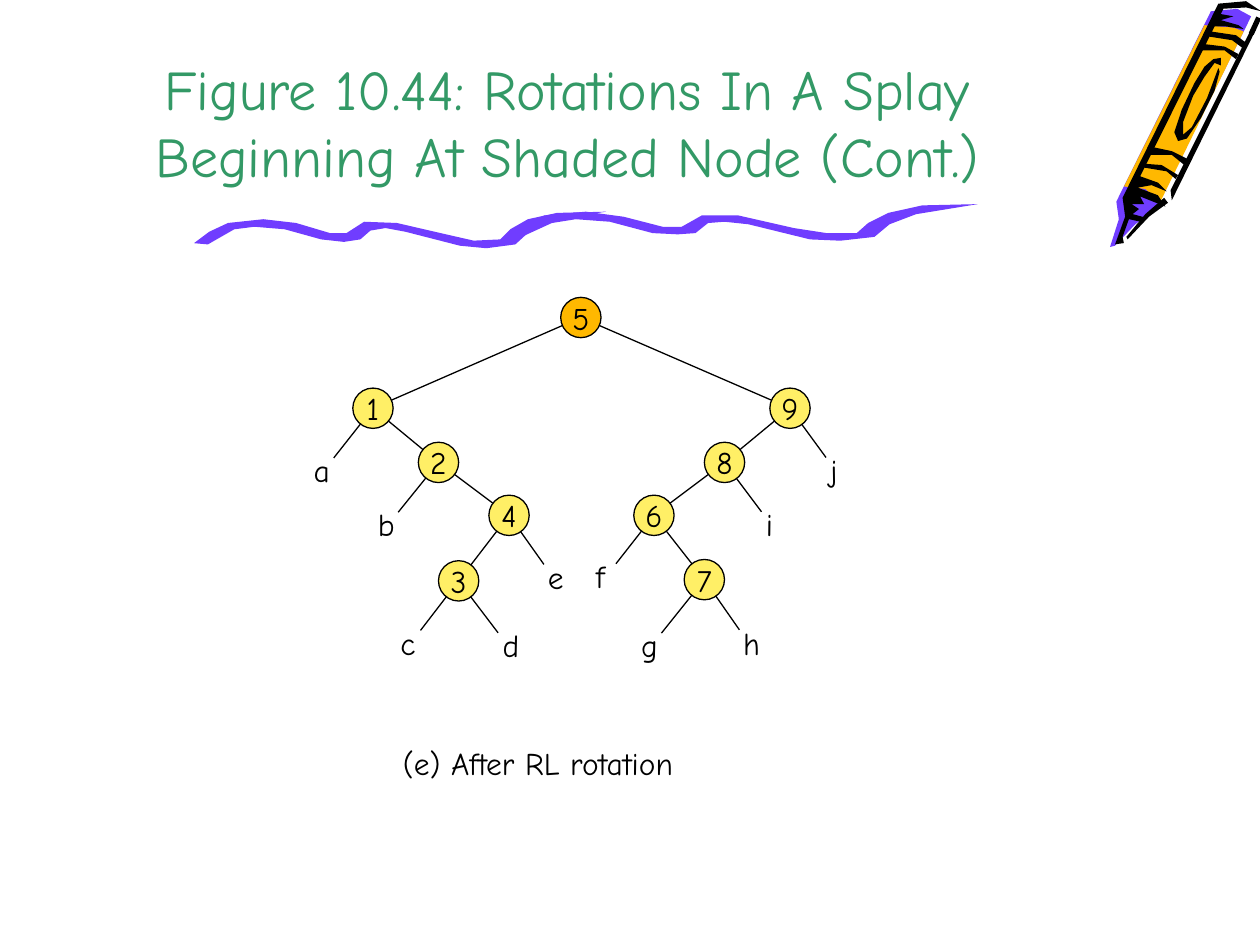
from math import hypot
from lxml import etree
from pptx import Presentation
from pptx import util as u
from pptx.dml.color import RGBColor
from pptx.enum import shapes, text
from pptx.oxml import ns

PX = u.Inches(1) // 100
FONT = "Comic Neue"
BLACK = RGBColor(0, 0, 0)
GREEN = RGBColor(0x33, 0x99, 0x66)
PURPLE = RGBColor(0x70, 0x3D, 0xFF)
ORANGE = RGBColor(0xFF, 0xB8, 0x00)
YELLOW = RGBColor(0xFF, 0xEF, 0x66)

TITLE = "Figure 10.44: Rotations In A Splay Beginning At Shaded Node (Cont.)"
NOTE = "(e) After RL rotation"

SIZE = 32
NODES = {
    "5": (445, 236), "1": (280, 308), "2": (332, 351), "4": (388, 393),
    "3": (348, 445), "9": (611, 308), "8": (559, 351), "6": (503, 393),
    "7": (543, 444),
}
LEAVES = {
    "a": (239, 353), "b": (290, 396), "c": (308, 490), "d": (389, 492),
    "e": (425, 438), "f": (463, 437), "g": (499, 492), "h": (580, 490),
    "i": (598, 396), "j": (649, 353),
}
KIDS = {
    "5": "19", "1": "a2", "2": "b4", "4": "3e", "3": "cd",
    "9": "8j", "8": "6i", "6": "f7", "7": "gh",
}

CRAYON = [
    (PURPLE, [(993, 13), (917, 166), (901, 178), (885, 195), (881, 196),
              (888, 174), (886, 160), (961, 9), (982, 7)]),
    (ORANGE, [(921, 160), (909, 150), (892, 148), (956, 20), (979, 22),
              (987, 25)]),
    (BLACK, [(927, 161), (912, 172), (895, 190), (894, 188), (909, 170),
             (924, 157)]),
    (BLACK, [(987, 23), (973, 21), (961, 21), (968, 11), (979, 13),
             (969, 16), (983, 20)]),
    (BLACK, [(968, 57), (964, 72), (953, 94), (942, 110), (935, 112),
             (932, 105), (938, 87), (948, 66), (956, 53), (963, 47),
             (969, 46), (969, 52), (964, 50), (956, 61), (947, 76),
             (939, 97), (939, 107), (946, 101), (958, 78), (967, 54)]),
    (BLACK, [(997, 23), (930, 159), (929, 151), (993, 23)]),
    (BLACK, [(925, 164), (919, 155), (903, 149), (914, 147), (926, 152),
             (919, 145), (905, 140), (971, 7), (989, 6), (1001, 9),
             (989, 1), (967, 3), (891, 157), (893, 172), (885, 194),
             (892, 193), (891, 188), (896, 174), (905, 176), (910, 173),
             (899, 170), (904, 166), (898, 162), (908, 162), (905, 156)]),
    (BLACK, [(933, 142), (926, 136), (908, 133), (909, 130), (922, 131),
             (935, 139)]),
    (BLACK, [(940, 131), (930, 123), (913, 123), (916, 117), (930, 120),
             (942, 126)]),
    (BLACK, [(981, 47), (972, 40), (953, 40), (956, 35), (972, 37),
             (983, 43)]),
    (BLACK, [(986, 38), (978, 32), (959, 29), (961, 25), (981, 28),
             (989, 34)]),
]
WAVES = [
    (PURPLE, [(165, 194), (186, 182), (202, 180), (226, 182), (255, 190),
              (273, 192), (286, 190), (294, 183), (306, 181), (322, 184),
              (365, 195), (386, 197), (409, 194), (420, 184), (438, 175),
              (481, 168), (442, 169), (419, 174), (405, 182), (397, 190),
              (376, 191), (354, 186), (315, 177), (289, 176), (275, 185),
              (262, 185), (235, 177), (209, 174), (181, 177), (166, 184),
              (154, 193)]),
    (PURPLE, [(414, 188), (438, 177), (457, 174), (484, 176), (518, 185),
              (538, 186), (552, 185), (562, 177), (575, 176), (594, 178),
              (643, 190), (667, 191), (694, 188), (706, 178), (727, 170),
              (776, 162), (732, 163), (705, 169), (689, 177), (680, 185),
              (656, 185), (630, 181), (586, 171), (557, 171), (541, 180),
              (526, 180), (495, 172), (465, 168), (432, 171), (415, 178),
              (401, 188)]),
]


def scale(*nums):
    return [round(n * PX) for n in nums]


def write(shape, words, size, hue=BLACK, align=text.PP_ALIGN.LEFT):
    frame = shape.text_frame
    frame.text = words
    para = frame.paragraphs[0]
    para.alignment = align
    para.font.size = u.Pt(size)
    para.font.name = FONT
    para.font.color.rgb = hue
    return frame


def label(words, x, y, wide):
    box = slide.shapes.add_textbox(*scale(x, y, wide, 40))
    frame = write(box, words, 18)
    frame.word_wrap = True
    frame.auto_size = text.MSO_AUTO_SIZE.SHAPE_TO_FIT_TEXT


def blob(hue, points):
    pen = slide.shapes.build_freeform(*points[0], scale=PX)
    pen.add_line_segments(points[1:], close=True)
    shape = pen.convert_to_shape()
    shape.shadow.inherit = False
    shape.fill.solid()
    shape.fill.fore_color.rgb = hue
    shape.line.fill.background()


def stroke(start, end, width=0.75):
    line = slide.shapes.add_connector(
        shapes.MSO_CONNECTOR.STRAIGHT, *scale(*start, *end))
    line.line.color.rgb = BLACK
    line.line.width = u.Pt(width)
    etree.SubElement(line._element.spPr, ns.qn("a:effectLst"))


def edge(start, end):
    (x, y), (p, q) = start, end
    cut = SIZE / 2 / hypot(p - x, q - y)
    dx, dy = (p - x) * cut, (q - y) * cut
    stroke((x + dx, y + dy), (p - dx, q - dy))


def node(key, x, y):
    disc = slide.shapes.add_shape(
        shapes.MSO_SHAPE.OVAL, *scale(x, y, SIZE, SIZE))
    disc.shadow.inherit = False
    disc.fill.solid()
    disc.fill.fore_color.rgb = ORANGE if key == "5" else YELLOW
    disc.line.color.rgb = BLACK
    disc.line.width = u.Pt(0.75)
    frame = write(disc, key, 18, align=text.PP_ALIGN.CENTER)
    frame.word_wrap = False
    frame.vertical_anchor = text.MSO_ANCHOR.MIDDLE


deck = Presentation()
deck.slide_width, deck.slide_height = scale(1000, 750)
slide = deck.slides.add_slide(deck.slide_layouts[5])

for hue, points in CRAYON + WAVES:
    blob(hue, points)
stroke((999, 14), (993, 27), 3)

head = slide.shapes.title
head.left, head.top, head.width, head.height = scale(75, 0, 751, 155)
frame = write(head, TITLE, 32, GREEN, text.PP_ALIGN.CENTER)
frame.vertical_anchor = text.MSO_ANCHOR.BOTTOM
frame.auto_size = text.MSO_AUTO_SIZE.NONE

mids = {key: (x + SIZE / 2, y + SIZE / 2) for key, (x, y) in NODES.items()}
mids.update({key: (x + 16, y + 23) for key, (x, y) in LEAVES.items()})
for top, kids in KIDS.items():
    for kid in kids:
        edge(mids[top], mids[kid])
for key, spot in NODES.items():
    node(key, *spot)
for key, spot in LEAVES.items():
    label(key, *spot, 35)
label(NOTE, 310, 586, 270)

deck.save("out.pptx")
